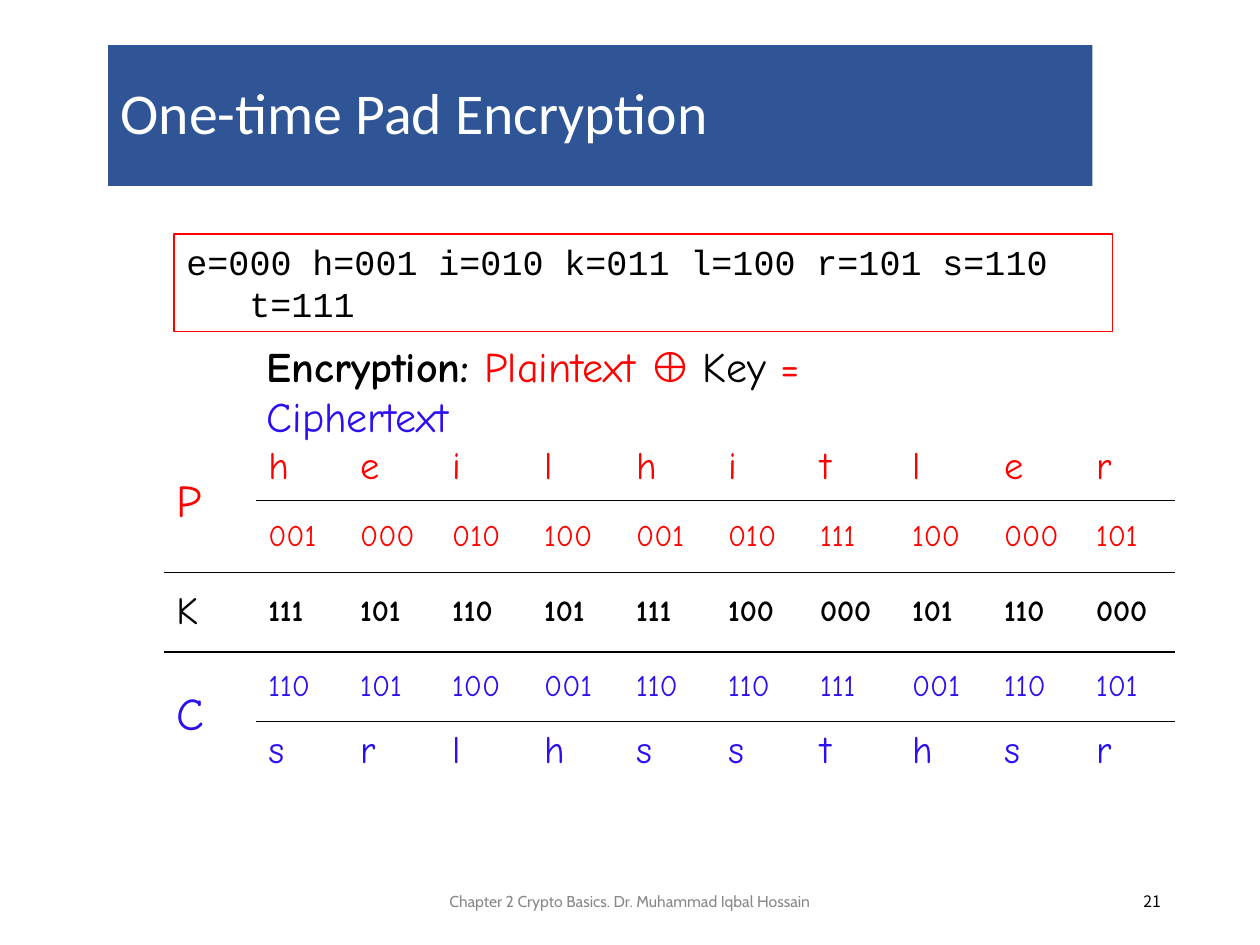
from dataclasses import dataclass

from lxml.etree import SubElement
from pptx import Presentation
from pptx.dml.color import RGBColor as Color
from pptx.enum.shapes import MSO_SHAPE as Preset
from pptx.enum.text import MSO_ANCHOR as Anchor, PP_ALIGN as Align
from pptx.oxml.ns import qn
from pptx.util import Cm, Pt


@dataclass(frozen=True)
class Theme:
    banner: str = "2F5597"
    white: str = "FFFFFF"
    black: str = "000000"
    plain: str = "FF0000"
    cipher: str = "2B10F0"
    muted: str = "898989"
    title_font: str = "Calibri"
    hand_font: str = "Comic Neue"
    code_font: str = "Courier New"
    symbol_font: str = "Arial"
    footer_font: str = "Cabin"
    number_font: str = "Noto Sans CJK KR"
    title: int = 33
    label: int = 26
    formula: int = 24
    letter: int = 22
    code: int = 20
    bits: int = 17
    footer: int = 9
    thin: float = 0.45
    thick: float = 1.08


THEME = Theme()


def write(paragraph, text, font=THEME.hand_font, size=THEME.formula,
          color=THEME.black, bold=False):
    run = paragraph.add_run()
    run.text = text
    run.font.name = font
    run.font.size = Pt(size)
    run.font.bold = bold
    run.font.color.rgb = Color.from_string(color)


def set_hanging_tabs(paragraph, indent, stops):
    properties = paragraph._p.get_or_add_pPr()
    properties.set("marL", str(Cm(indent)))
    properties.set("indent", str(-Cm(indent)))
    tabs = SubElement(properties, qn("a:tabLst"))
    for stop in sorted(stops):
        SubElement(tabs, qn("a:tab"), pos=str(Cm(stop)), algn="l")


def set_borders(cell, top, bottom):
    """Draw the top and bottom rules by width in points; zero means no rule."""
    properties = cell._tc.get_or_add_tcPr()
    for side, width in (("L", 0), ("R", 0), ("T", top), ("B", bottom)):
        line = SubElement(properties, qn(f"a:ln{side}"), w=str(Pt(width)))
        if width:
            fill = SubElement(line, qn("a:solidFill"))
            SubElement(fill, qn("a:srgbClr"), val=THEME.black)
        else:
            SubElement(line, qn("a:noFill"))


class SlideBuilder:
    def __init__(self, presentation, theme):
        self.theme = theme
        self.slide = presentation.slides.add_slide(presentation.slide_layouts[5])

    def title(self, text, left, top, width, height):
        shape = self.slide.shapes.title
        shape.left, shape.top = Cm(left), Cm(top)
        shape.width, shape.height = Cm(width), Cm(height)
        shape.fill.solid()
        shape.fill.fore_color.rgb = Color.from_string(self.theme.banner)
        shape.text_frame.vertical_anchor = Anchor.MIDDLE
        paragraph = shape.text_frame.paragraphs[0]
        paragraph.alignment = Align.LEFT
        paragraph.line_spacing = 0.9
        write(paragraph, text, font=self.theme.title_font,
              size=self.theme.title, color=self.theme.white)

    def text(self, left, top, width, height, align=Align.LEFT, anchor=Anchor.TOP):
        """Add a wrapping text box and return its empty paragraph."""
        shape = self.slide.shapes.add_textbox(Cm(left), Cm(top), Cm(width), Cm(height))
        frame = shape.text_frame
        frame.word_wrap = True
        frame.vertical_anchor = anchor
        frame.paragraphs[0].alignment = align
        return frame.paragraphs[0]

    def outlined_box(self, left, top, width, height, color):
        """Add an unfilled rectangle and return its empty paragraph."""
        shape = self.slide.shapes.add_shape(
            Preset.RECTANGLE, Cm(left), Cm(top), Cm(width), Cm(height))
        shape.shadow.inherit = False
        shape.fill.background()
        shape.line.color.rgb = Color.from_string(color)
        shape.line.width = Pt(0.75)
        shape.text_frame.word_wrap = True
        shape.text_frame.vertical_anchor = Anchor.TOP
        paragraph = shape.text_frame.paragraphs[0]
        paragraph.alignment = Align.LEFT
        return paragraph

    def table(self, rows, heights, rules, left, top, width):
        """Fill rows of (label, values, label format, value format).

        A row without a label joins the label cell above it.
        """
        columns = len(rows[0][1]) + 1
        table = self.slide.shapes.add_table(
            len(rows), columns, Cm(left), Cm(top), Cm(width), Cm(sum(heights))).table
        table.first_row = table.horz_banding = False
        for column in table.columns:
            column.width = Cm(width / columns)
        for index, (label, values, label_format, value_format) in enumerate(rows):
            table.rows[index].height = Cm(heights[index])
            for position, text in enumerate([label, *values]):
                cell = table.cell(index, position)
                edges = rules[index:index + 2]
                if position == 0:
                    edges = [edge if edge == self.theme.thick else 0 for edge in edges]
                set_borders(cell, *edges)
                cell.fill.background()
                cell.vertical_anchor = Anchor.MIDDLE
                if text:
                    write(cell.text_frame.paragraphs[0], text,
                          **(value_format if position else label_format))
            if not label:
                table.cell(index - 1, 0).merge(table.cell(index, 0))


def main():
    theme = THEME
    presentation = Presentation()
    presentation.slide_width, presentation.slide_height = Cm(25.4), Cm(19.05)
    builder = SlideBuilder(presentation, theme)
    builder.title("One-time Pad Encryption", 2.18, 0.91, 19.84, 2.84)

    plain_label = dict(size=theme.label, color=theme.plain)
    plain_letter = dict(size=theme.letter, color=theme.plain)
    plain_bits = dict(size=theme.bits, color=theme.plain)
    key_label = dict(size=theme.letter)
    key_bits = dict(size=theme.bits, bold=True)
    cipher_label = dict(size=theme.label, color=theme.cipher)
    cipher_letter = dict(size=theme.letter, color=theme.cipher)
    cipher_bits = dict(size=theme.bits, color=theme.cipher)
    rows = [
        ("P", "heilhitler", plain_label, plain_letter),
        ("", "001 000 010 100 001 010 111 100 000 101".split(), {}, plain_bits),
        ("K", "111 101 110 101 111 100 000 101 110 000".split(), key_label, key_bits),
        ("C", "110 101 100 001 110 110 111 001 110 101".split(), cipher_label, cipher_bits),
        ("", "srlhssthsr", {}, cipher_letter),
    ]
    builder.table(rows, [1.35, 1.45, 1.6, 1.4, 1.19],
                  [0, theme.thin, theme.thick, theme.thick, theme.thin, 0],
                  3.3, 8.74, 20.4)

    footer = builder.text(8.41, 17.65, 8.56, 1.02, Align.CENTER, Anchor.MIDDLE)
    write(footer, "Chapter 2 Crypto Basics. Dr. Muhammad Iqbal Hossain",
          font=theme.footer_font, size=theme.footer, color=theme.muted)
    number = builder.text(17.93, 17.65, 5.72, 1.02, Align.RIGHT, Anchor.MIDDLE)
    write(number, "21", font=theme.number_font, size=theme.footer)

    codes = builder.outlined_box(3.51, 4.72, 18.92, 1.96, theme.plain)
    indent, pitch = 1.27, 2.96
    set_hanging_tabs(codes, indent,
                     [indent + pitch] + [pitch * step for step in range(1, 6)])
    write(codes, "\t".join("e=000 h=001 i=010 k=011 l=100 r=101 s=110 t=111".split()),
          font=theme.code_font, size=theme.code)

    formula = builder.text(5.13, 6.73, 14.8, 1.27)
    write(formula, "Encryption: ", bold=True)
    write(formula, "Plaintext ", color=theme.plain)
    write(formula, "⊕ ", font=theme.symbol_font, color=theme.plain)
    write(formula, "Key")
    write(formula, " = ", color=theme.plain)
    write(formula, "Ciphertext", color=theme.cipher)

    presentation.save("out.pptx")


if __name__ == "__main__":
    main()
